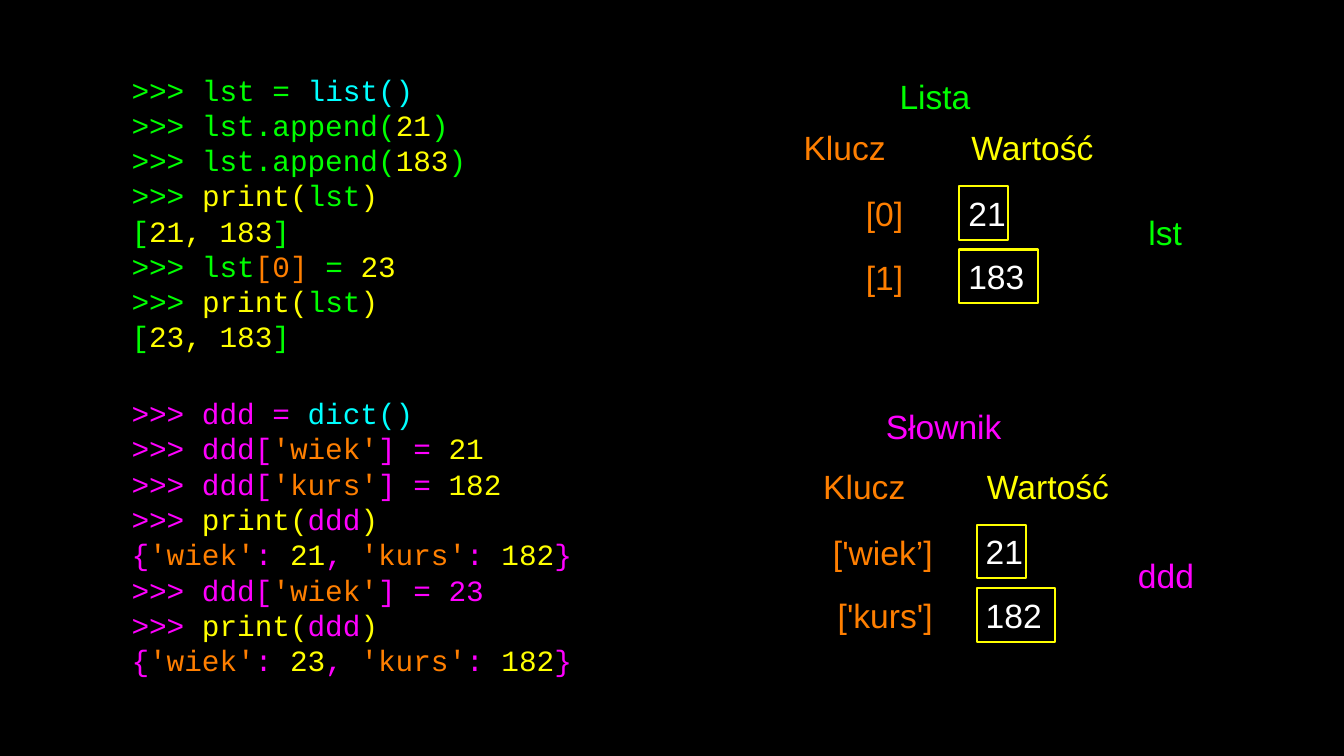
from pptx import Presentation
from pptx.dml.color import RGBColor
from pptx.enum.shapes import MSO_SHAPE
from pptx.enum.text import MSO_ANCHOR, PP_ALIGN
from pptx.util import Inches, Pt

HUES = {"k": "000000", "w": "FFFFFF", "g": "00FF00", "m": "FF00FF",
        "c": "00FFFF", "y": "FFFF00", "o": "FF7F00"}
FRAME = {"margin_left": 0, "margin_right": 0, "margin_top": 0,
         "margin_bottom": 0, "word_wrap": True,
         "vertical_anchor": MSO_ANCHOR.MIDDLE}
CODE = {"name": "Courier New", "size": Pt(28)}
LABEL = {"name": "Arial", "size": Pt(32)}
LEFT, MID, RIGHT = PP_ALIGN.LEFT, PP_ALIGN.CENTER, PP_ALIGN.RIGHT

PRINT = "{0}>>> |yprint(|{0}{1}|y)"
SHOW_LST = PRINT.format("g", "lst")
SHOW_DDD = PRINT.format("m", "ddd")
DUMP = "m{{|o'wiek'|m: |y{}|m, |o'kurs'|m: |y182|m}}"

LIST_CODE = [
    "g>>> lst = |clist()",
    "g>>> lst.append(|y21|g)",
    "g>>> lst.append(|y183|g)",
    SHOW_LST,
    "g[|y21, 183|g]",
    "g>>> lst|o[0]|g = |y23",
    SHOW_LST,
    "g[|y23, 183|g]",
]
DICT_CODE = [
    "m>>> ddd = |cdict()",
    "m>>> ddd[|o'wiek'|m] = |y21",
    "m>>> ddd[|o'kurs'|m] = |y182",
    SHOW_DDD,
    DUMP.format(21),
    "m>>> ddd[|o'wiek'|m] = 23",
    SHOW_DDD,
    DUMP.format(23),
]


def color(key):
    return RGBColor.from_string(HUES[key])


def apply(target, values):
    for name, value in values.items():
        setattr(target, name, value)


def write(shape, lines, font, align=LEFT, pitch=None):
    frame = shape.text_frame
    apply(frame, FRAME)
    for i, line in enumerate(lines):
        para = frame.paragraphs[0] if i == 0 else frame.add_paragraph()
        apply(para, {"alignment": align, "line_spacing": pitch})
        for part in line.split("|"):
            run = para.add_run()
            run.text = part[1:]
            apply(run.font, font)
            run.font.color.rgb = color(part[0])


def code(slide, box, lines):
    shape = slide.shapes.add_textbox(*map(Inches, box))
    write(shape, lines, CODE, pitch=Pt(33.6))


def label(slide, box, text, align=MID):
    shape = slide.shapes.add_textbox(*map(Inches, box))
    write(shape, [text], LABEL, align)


def cell(slide, box, text):
    shape = slide.shapes.add_shape(MSO_SHAPE.RECTANGLE, *map(Inches, box))
    shape.shadow.inherit = False
    shape.fill.background()
    shape.line.color.rgb = color("y")
    shape.line.width = Pt(2)
    write(shape, [text], LABEL)
    shape.text_frame.margin_left = Inches(0.12)


def panel(slide, x, y, heads, rows, edge, cells, top):
    for text, dx, dy, wide, high in heads:
        label(slide, (x + dx, y + dy, wide, high), text)
    for i, (key, wide, value, span) in enumerate(rows):
        line = y + top + i * 0.84
        label(slide, (x + edge - wide, line + 0.02, wide, 0.68), key, RIGHT)
        cell(slide, (x + cells, line, span, 0.71), value)


def main():
    deck = Presentation()
    apply(deck, {"slide_width": Inches(17.78), "slide_height": Inches(10)})
    slide = deck.slides.add_slide(deck.slide_layouts[6])
    fill = slide.background.fill
    fill.solid()
    fill.fore_color.rgb = color("k")

    code(slide, (1.74, 0.85, 6.22, 3.93), LIST_CODE)
    code(slide, (1.74, 4.94, 6.8, 4.31), DICT_CODE)
    panel(slide, 10.32, 0.85,
          heads=[("gLista", 1.53, 0, 1.04, 0.85),
                 ("oKlucz", 0, 0.75, 1.71, 0.68),
                 ("yWartość", 2.39, 0.75, 1.9, 0.68),
                 ("glst", 4.74, 1.79, 0.71, 0.85)],
          rows=[("o[0]", 0.71, "w21", 0.65), ("o[1]", 0.71, "w183", 1.04)],
          edge=1.63, cells=2.37, top=1.61)
    panel(slide, 10.32, 5.21,
          heads=[("mSłownik", 0.73, 0, 2.87, 0.85),
                 ("oKlucz", 0.38, 0.88, 1.47, 0.68),
                 ("yWartość", 2.53, 0.88, 2.03, 0.68),
                 ("mddd", 4.56, 1.97, 1.09, 0.85)],
          rows=[("o['wiek’]", 2.02, "w21", 0.65),
                ("o['kurs']", 1.31, "w182", 1.04)],
          edge=2.02, cells=2.6, top=1.73)
    deck.save("out.pptx")


if __name__ == "__main__":
    main()
